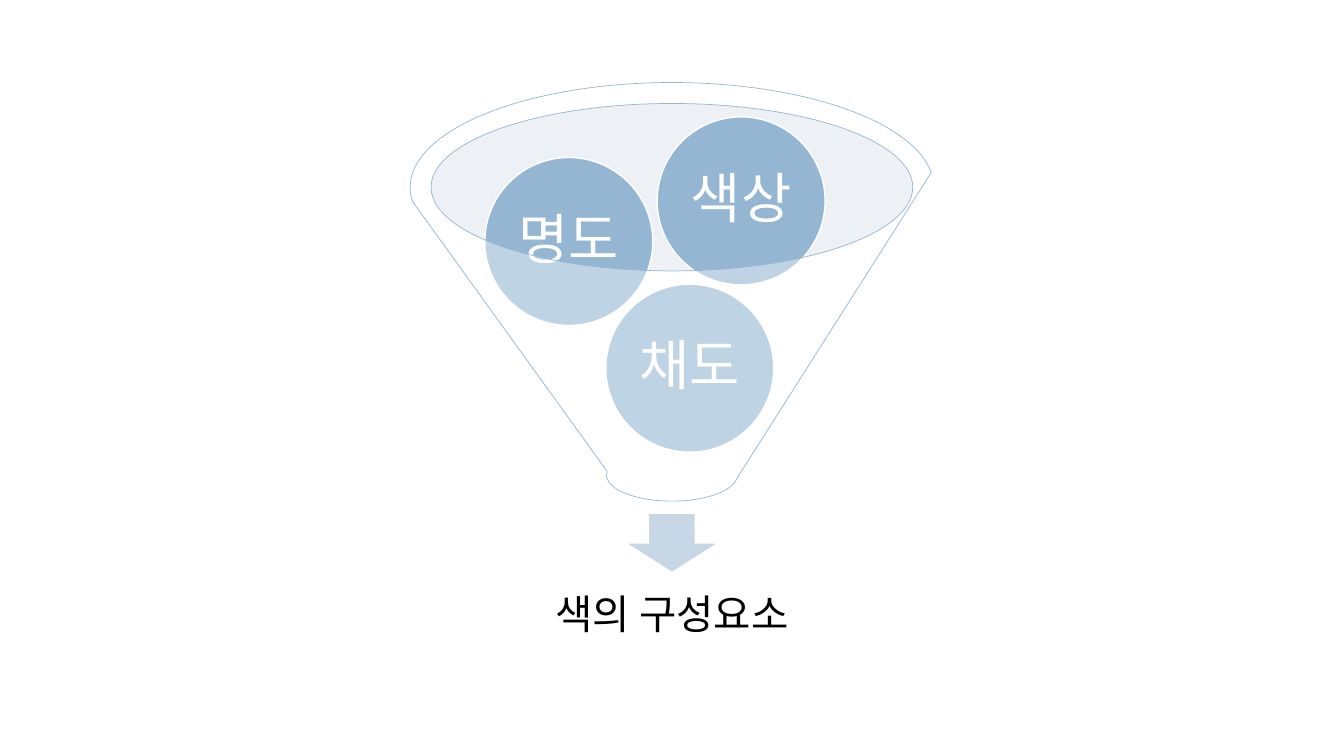
from lxml.etree import SubElement
from pptx import Presentation
from pptx.dml.color import RGBColor
from pptx.enum.shapes import MSO_SHAPE as Shape
from pptx.enum.text import MSO_ANCHOR as Anchor, PP_ALIGN as Align
from pptx.oxml.ns import qn
from pptx.util import Pt

FONT = "Noto Sans CJK KR"
BLUE = "94B6D2"
WHITE = "FFFFFF"
CIRCLE_SIZE = 120


def color(value):
    return RGBColor.from_string(value)


def add_part(slide, kind, box, fill, line=None, line_width=1, opacity=None):
    part = slide.shapes.add_shape(kind, *map(Pt, box))
    part.shadow.inherit = False
    part.fill.solid()
    part.fill.fore_color.rgb = color(fill)
    if opacity is not None:
        tint = part.fill._xPr.find(qn("a:solidFill"))[0]
        SubElement(tint, qn("a:alpha"), val=str(opacity * 1000))
    if line:
        part.line.color.rgb = color(line)
        part.line.width = Pt(line_width)
    else:
        part.line.fill.background()
    return part


def write_label(part, text, size, text_color, inset):
    frame = part.text_frame
    frame.word_wrap = True
    frame.vertical_anchor = Anchor.MIDDLE
    frame.margin_left = frame.margin_right = Pt(inset)
    frame.margin_top = frame.margin_bottom = Pt(inset)
    paragraph = frame.paragraphs[0]
    paragraph.alignment = Align.CENTER
    paragraph.line_spacing = 0.9
    run = paragraph.add_run()
    run.text = text
    run.font.size = Pt(size)
    run.font.color.rgb = color(text_color)
    run.font.name = FONT
    SubElement(run._r.get_or_add_rPr(), qn("a:ea"), typeface=FONT)


def add_funnel(slide, left, top, width, height, elements):
    mouth_inset = 15
    mouth = (left + mouth_inset, top + mouth_inset, width - 2 * mouth_inset, 119.5)
    add_part(slide, Shape.OVAL, mouth, "D2DEEA", opacity=40)
    for element, dx, dy in elements:
        circle_box = (left + dx, top + dy, CIRCLE_SIZE, CIRCLE_SIZE)
        circle = add_part(slide, Shape.OVAL, circle_box, BLUE, WHITE)
        write_label(circle, element, 39, WHITE, 3.6)
    add_part(slide, Shape.FUNNEL, (left, top, width, height), WHITE, BLUE, 0.5, 40)


def add_result(slide, left, top, width, text):
    arrow_width = 67
    arrow_left = left + (width - arrow_width) / 2
    add_part(slide, Shape.DOWN_ARROW, (arrow_left, top, arrow_width, 42.5), "C8D7E5", WHITE)
    result = slide.shapes.add_textbox(Pt(left), Pt(top + 34), Pt(width), Pt(80))
    write_label(result, text, 29, "000000", 16.5)


def main():
    deck = Presentation()
    deck.slide_width, deck.slide_height = Pt(960), Pt(540)
    slide = deck.slides.add_slide(deck.slide_layouts[6])
    elements = [("채도", 139.7, 144), ("명도", 53.3, 53.5), ("색상", 176.4, 24.5)]
    add_funnel(slide, 293, 59, 374, 299, elements)
    add_result(slide, 320, 366.5, 320, "색의 구성요소")
    deck.save("out.pptx")


if __name__ == "__main__":
    main()
